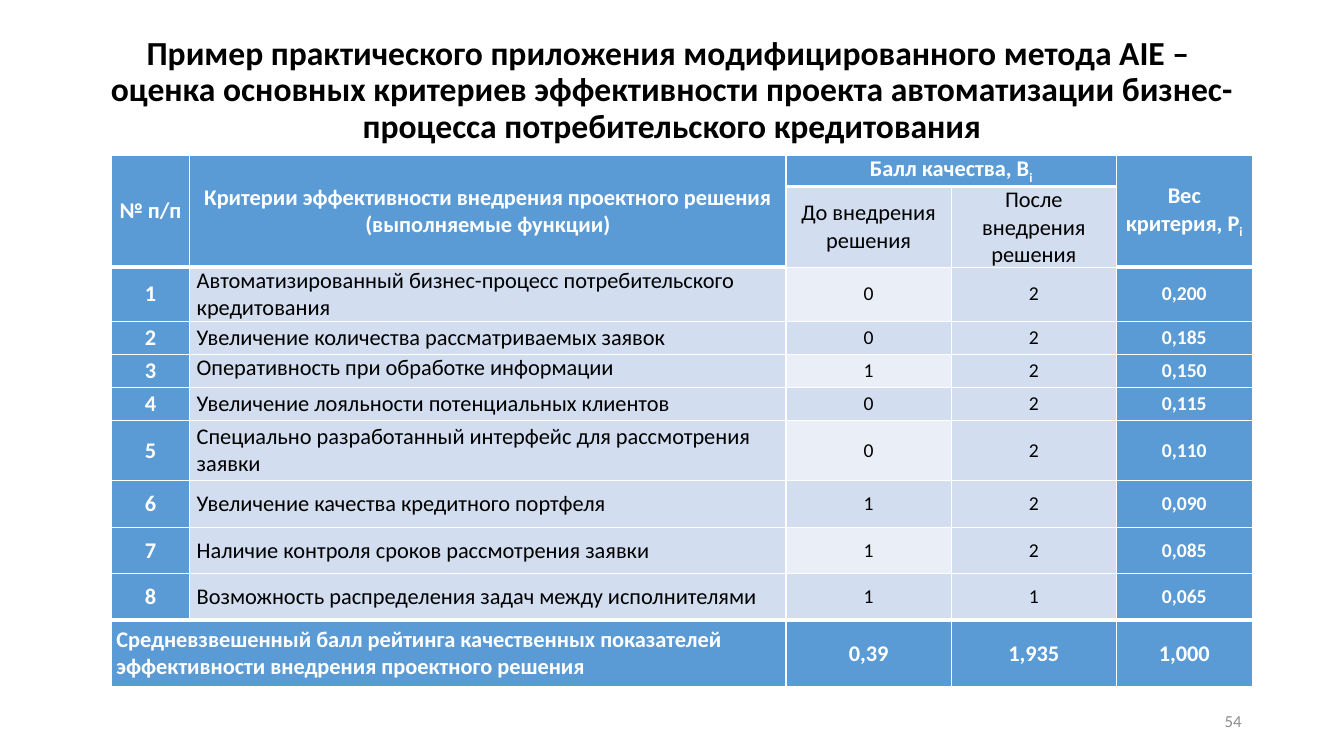
from lxml.etree import SubElement
from pptx import Presentation
from pptx.dml.color import RGBColor
from pptx.enum.text import MSO_ANCHOR, PP_ALIGN
from pptx.oxml.ns import qn
from pptx.util import Pt

BLUE, PALE, PALEST = "5B9BD5", "D2DEEF", "EAEFF7"
WHITE, BLACK, GREY = "FFFFFF", "000000", "8C8C8C"
LEFT, CENTER, RIGHT = PP_ALIGN.LEFT, PP_ALIGN.CENTER, PP_ALIGN.RIGHT

TITLE = ("Пример практического приложения модифицированного метода AIE – \v"
         "оценка основных критериев эффективности проекта автоматизации "
         "бизнес-процесса потребительского кредитования")
COLUMN_WIDTHS = [56, 426, 118, 118, 97]
ROW_HEIGHTS = [22.5, 57.5, 38.5, 23.7, 23.7, 23.7, 42.5, 33.7, 33.2, 33.2, 47.5]
CRITERIA = [
    ("Автоматизированный бизнес-процесс потребительского кредитования", "0", "2", "0,200"),
    ("Увеличение количества рассматриваемых заявок", "0", "2", "0,185"),
    ("Оперативность при обработке информации", "1", "2", "0,150"),
    ("Увеличение лояльности потенциальных клиентов", "0", "2", "0,115"),
    ("Специально разработанный интерфейс для рассмотрения заявки", "0", "2", "0,110"),
    ("Увеличение качества кредитного портфеля", "1", "2", "0,090"),
    ("Наличие контроля сроков рассмотрения заявки", "1", "2", "0,085"),
    ("Возможность распределения задач между исполнителями", "1", "1", "0,065"),
]
TOP_ANCHORED = (1, 3)
TOTAL_ROW = len(ROW_HEIGHTS) - 1


def color(value):
    return RGBColor.from_string(value)


class SlideBuilder:
    font_name = "Calibri"

    def __init__(self, slide):
        self.slide = slide

    def add_text(self, frame, text, size, ink, bold=False, align=CENTER,
                 spacing=None, subscript=None):
        """Fill a text frame, one paragraph per line."""
        for index, line in enumerate(text.split("\n")):
            paragraph = frame.paragraphs[0] if index == 0 else frame.add_paragraph()
            paragraph.alignment = align
            if spacing:
                paragraph.line_spacing = spacing
            for number, part in enumerate(line.split("\v")):
                if number:
                    paragraph.add_line_break()
                self.add_run(paragraph, part, size, ink, bold)
        if subscript:
            run = self.add_run(paragraph, subscript, size, ink, bold)
            run._r.get_or_add_rPr().set("baseline", "-25000")

    def add_run(self, paragraph, text, size, ink, bold):
        run = paragraph.add_run()
        run.text = text
        formats = {"name": self.font_name, "size": Pt(size), "bold": bold}
        for name, value in formats.items():
            setattr(run.font, name, value)
        run.font.color.rgb = color(ink)
        return run

    def text_box(self, left, top, width, height, text, size, ink, **style):
        shape = self.slide.shapes.add_textbox(Pt(left), Pt(top), Pt(width), Pt(height))
        frame = shape.text_frame
        frame.word_wrap = True
        frame.vertical_anchor = MSO_ANCHOR.MIDDLE
        self.add_text(frame, text, size, ink, **style)

    def table(self, left, top, widths, heights):
        shape = self.slide.shapes.add_table(
            len(heights), len(widths), Pt(left), Pt(top), Pt(sum(widths)), Pt(sum(heights)))
        self.grid = shape.table
        self.grid.first_row = self.grid.horz_banding = False
        for column, width in zip(self.grid.columns, widths):
            column.width = Pt(width)
        for row, height in zip(self.grid.rows, heights):
            row.height = Pt(height)

    def borders(self, cell, left=1, right=1, top=1, bottom=1):
        properties = cell._tc.get_or_add_tcPr()
        for side, weight in zip("LRTB", (left, right, top, bottom)):
            line = SubElement(properties, qn(f"a:ln{side}"), w=str(Pt(weight)))
            fill = SubElement(line, qn("a:solidFill"))
            SubElement(fill, qn("a:srgbClr"), val=WHITE)

    def cell(self, row, column, text, fill=BLUE, ink=WHITE, size=16, bold=True,
             inset=3.6, anchor=MSO_ANCHOR.MIDDLE, **style):
        cell = self.grid.cell(row, column)
        formats = {"margin_left": Pt(inset), "margin_right": Pt(inset),
                   "margin_top": 0, "margin_bottom": 0, "vertical_anchor": anchor}
        for name, value in formats.items():
            setattr(cell, name, value)
        cell.fill.solid()
        cell.fill.fore_color.rgb = color(fill)
        self.add_text(cell.text_frame, text, size, ink, bold, **style)

    def merge(self, first, last):
        self.grid.cell(*first).merge(self.grid.cell(*last))


def thick_below(row, column):
    return row in (0, TOTAL_ROW - 1) or (row == 1 and column in (0, 1, 4))


def build_table(builder):
    builder.table(79.5, 110.8, COLUMN_WIDTHS, ROW_HEIGHTS)
    for row in range(len(ROW_HEIGHTS)):
        for column in range(len(COLUMN_WIDTHS)):
            builder.borders(builder.grid.cell(row, column),
                            top=3 if thick_below(row - 1, column) else 1,
                            bottom=3 if thick_below(row, column) else 1)
    for column in (0, 1, 4):
        builder.merge((0, column), (1, column))
    builder.merge((0, 2), (0, 3))
    builder.merge((TOTAL_ROW, 0), (TOTAL_ROW, 1))

    # Header
    builder.cell(0, 0, "№ п/п")
    builder.cell(0, 1, "Критерии эффективности внедрения проектного решения\n"
                       "(выполняемые функции)")
    builder.cell(0, 2, "Балл качества, B", subscript="i")
    builder.cell(0, 4, "Вес критерия, P", subscript="i")
    plain = {"fill": PALE, "ink": BLACK, "bold": False}
    builder.cell(1, 2, "До внедрения решения", **plain)
    builder.cell(1, 3, "После внедрения решения", **plain)

    # Criteria, with the "before" column banded
    score = {"ink": BLACK, "bold": False, "size": 14, "inset": 5}
    for number, (name, before, after, weight) in enumerate(CRITERIA, start=1):
        row = number + 1
        anchor = MSO_ANCHOR.TOP if number in TOP_ANCHORED else MSO_ANCHOR.MIDDLE
        builder.cell(row, 0, str(number))
        builder.cell(row, 1, name, inset=5, anchor=anchor, align=LEFT, **plain)
        builder.cell(row, 2, before, fill=PALEST if number % 2 else PALE, **score)
        builder.cell(row, 3, after, fill=PALE, **score)
        builder.cell(row, 4, weight, size=14, inset=5)

    # Totals
    builder.cell(TOTAL_ROW, 0, "Средневзвешенный балл рейтинга качественных показателей "
                               "эффективности внедрения проектного решения", align=LEFT)
    for column, total in enumerate(("0,39", "1,935", "1,000"), start=2):
        builder.cell(TOTAL_ROW, column, total)


def main():
    presentation = Presentation()
    presentation.slide_width, presentation.slide_height = Pt(960), Pt(540)
    builder = SlideBuilder(presentation.slides.add_slide(presentation.slide_layouts[6]))

    # Title, table and page number
    builder.text_box(66, 28.8, 828, 72.5, TITLE, 24, BLACK, bold=True, spacing=0.9)
    build_table(builder)
    builder.text_box(678, 500.5, 216, 28.8, "54", 12, GREY, align=RIGHT)

    presentation.save("out.pptx")


if __name__ == "__main__":
    main()
